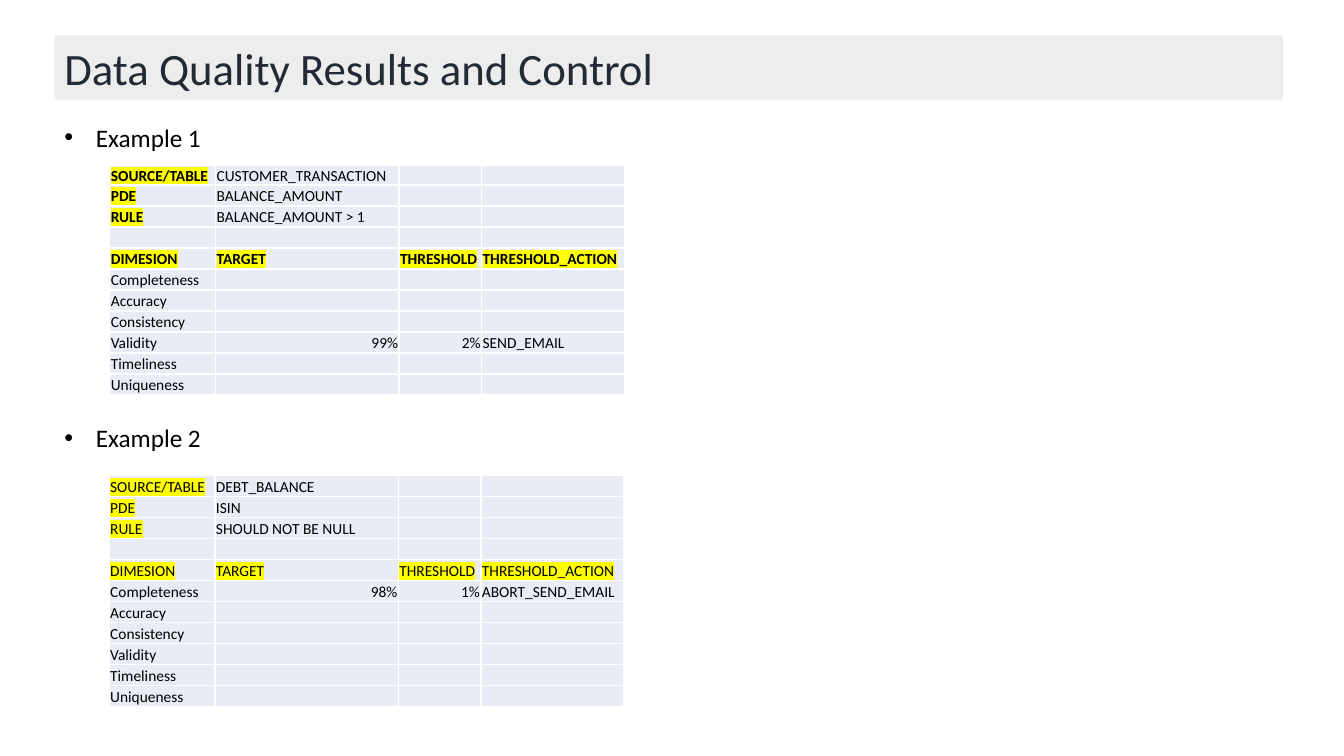
from lxml import etree
from pptx import Presentation
from pptx.dml.color import RGBColor
from pptx.enum.shapes import MSO_SHAPE
from pptx.enum.text import MSO_ANCHOR, PP_ALIGN
from pptx.oxml.ns import qn
from pptx.util import Pt

RECTANGLE = MSO_SHAPE.RECTANGLE
MIDDLE, BOTTOM = MSO_ANCHOR.MIDDLE, MSO_ANCHOR.BOTTOM
LEFT, RIGHT = PP_ALIGN.LEFT, PP_ALIGN.RIGHT

FONT = "Calibri"
BLACK, WHITE, YELLOW = "000000", "FFFFFF", "FFFF00"
TITLE_FILL, TITLE_TEXT, CELL_FILL = "EDEDED", "222A35", "E9EBF5"

MARGIN, WIDTH = 38.9, 877.7
COLUMN_WIDTHS = (75.6, 131, 59, 102.2)
ROW_HEIGHT = 15
CELL_TEXT_SIZE = 11

HEADINGS = ("DIMESION", "TARGET", "THRESHOLD", "THRESHOLD_ACTION")
DIMENSIONS = ("Completeness", "Accuracy", "Consistency", "Validity",
              "Timeliness", "Uniqueness")


def color(hex_string):
    return RGBColor.from_string(hex_string)


def add_solid_fill(parent, hex_string):
    fill = etree.SubElement(parent, qn("a:solidFill"))
    etree.SubElement(fill, qn("a:srgbClr"), val=hex_string)


def style_run(r, size, hex_string, bold=False):
    r.font.name = FONT
    r.font.size = Pt(size)
    r.font.bold = bold
    r.font.color.rgb = color(hex_string)


def highlight(r):
    rPr = r.font._element
    mark = etree.Element(qn("a:highlight"))
    etree.SubElement(mark, qn("a:srgbClr"), val=YELLOW)
    rPr.find(qn("a:latin")).addprevious(mark)


def set_borders(cell):
    tcPr = cell._tc.get_or_add_tcPr()
    for i, side in enumerate(("lnL", "lnR", "lnT", "lnB")):
        line = etree.Element(qn("a:" + side), w=str(Pt(1)))
        add_solid_fill(line, WHITE)
        tcPr.insert(i, line)


def add_title(s, left, top, width, height):
    sp = s.shapes.add_shape(RECTANGLE, Pt(left), Pt(top), Pt(width), Pt(height))
    sp.shadow.inherit = False
    sp.fill.solid()
    sp.fill.fore_color.rgb = color(TITLE_FILL)
    sp.line.fill.background()
    tf = sp.text_frame
    tf.text = "Data Quality Results and Control"
    tf.word_wrap = True
    tf.vertical_anchor = MIDDLE
    p = tf.paragraphs[0]
    p.alignment = LEFT
    style_run(p.runs[0], 32, TITLE_TEXT)


def add_bullet(s, text, left, top, width, height=29):
    tf = s.shapes.add_textbox(Pt(left), Pt(top), Pt(width), Pt(height)).text_frame
    tf.word_wrap = True
    tf.text = text
    p = tf.paragraphs[0]
    style_run(p.runs[0], 18, BLACK)
    pPr = p._p.get_or_add_pPr()
    pPr.set("marL", str(Pt(22.5)))
    pPr.set("indent", str(Pt(-22.5)))
    etree.SubElement(pPr, qn("a:buFont"), typeface="Arial")
    etree.SubElement(pPr, qn("a:buChar"), char="•")


def fill_cell(cell, text, is_label, bold):
    cell.margin_left = cell.margin_right = cell.margin_top = Pt(0.7)
    cell.margin_bottom = 0
    cell.vertical_anchor = BOTTOM
    cell.fill.solid()
    cell.fill.fore_color.rgb = color(CELL_FILL)
    set_borders(cell)
    p = cell.text_frame.paragraphs[0]
    if not text:
        # Keeps empty rows as low as the filled ones
        etree.SubElement(p._p, qn("a:endParaRPr"), sz=str(CELL_TEXT_SIZE * 100))
        return
    p.text = text
    p.alignment = RIGHT if text.endswith("%") else LEFT
    style_run(p.runs[0], CELL_TEXT_SIZE, BLACK, bold and is_label)
    if is_label:
        highlight(p.runs[0])


def add_rule_table(s, left, top, first_height, subject, results, bold):
    labels = ("SOURCE/TABLE", "PDE", "RULE")
    rows = [(label, value, "", "") for label, value in zip(labels, subject)]
    rows += [("",) * 4, HEADINGS]
    rows += [(name, *results.get(name, ("",) * 3)) for name in DIMENSIONS]

    heights = [first_height] + [ROW_HEIGHT] * (len(rows) - 1)
    table = s.shapes.add_table(len(rows), len(COLUMN_WIDTHS), Pt(left), Pt(top),
                               Pt(sum(COLUMN_WIDTHS)), Pt(sum(heights))).table
    table.first_row = table.horz_banding = False
    for column, width in zip(table.columns, COLUMN_WIDTHS):
        column.width = Pt(width)
    for i, (row, height) in enumerate(zip(rows, heights)):
        table.rows[i].height = Pt(height)
        for j, text in enumerate(row):
            is_label = row is HEADINGS or (i < len(labels) and j == 0)
            fill_cell(table.cell(i, j), text, is_label, bold)


def main():
    prs = Presentation()
    prs.slide_width, prs.slide_height = Pt(960), Pt(540)
    s = prs.slides.add_slide(prs.slide_layouts[6])

    add_title(s, MARGIN, 25.2, WIDTH, 46)

    # Example 1: validity rule
    add_bullet(s, "Example 1", MARGIN, 83.5, WIDTH)
    add_rule_table(s, 78.5, 118.2, 14,
                   ("CUSTOMER_TRANSACTION", "BALANCE_AMOUNT", "BALANCE_AMOUNT > 1"),
                   {"Validity": ("99%", "2%", "SEND_EMAIL")}, bold=True)

    # Example 2: completeness rule
    add_bullet(s, "Example 2", MARGIN, 298.2, WIDTH)
    add_rule_table(s, 78, 339.8, ROW_HEIGHT,
                   ("DEBT_BALANCE", "ISIN", "SHOULD NOT BE NULL"),
                   {"Completeness": ("98%", "1%", "ABORT_SEND_EMAIL")}, bold=False)

    prs.save("out.pptx")


if __name__ == "__main__":
    main()
